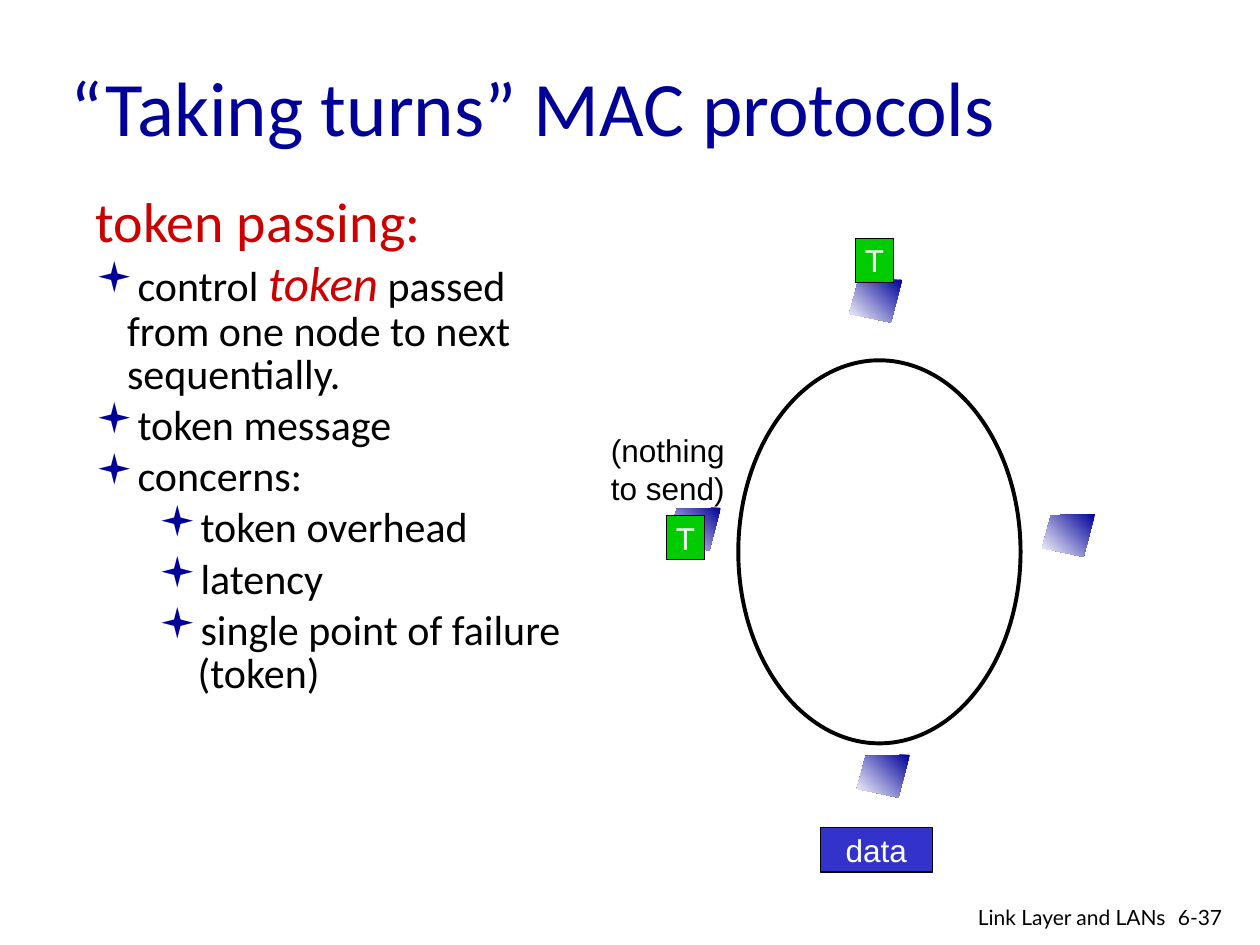
from lxml import etree
from pptx import Presentation
from pptx.dml.color import RGBColor
from pptx.enum.shapes import MSO_SHAPE
from pptx.enum.text import MSO_ANCHOR, PP_ALIGN
from pptx.oxml.ns import qn
from pptx.util import Inches, Pt

LEFT, CENTER, RIGHT = PP_ALIGN.LEFT, PP_ALIGN.CENTER, PP_ALIGN.RIGHT
TOP, MIDDLE = MSO_ANCHOR.TOP, MSO_ANCHOR.MIDDLE
OVAL, RECTANGLE = MSO_SHAPE.OVAL, MSO_SHAPE.RECTANGLE
NAVY, RED, GREEN, BLUE = "000099", "CC0000", "00CC00", "3333CC"
BLACK, WHITE = "000000", "FFFFFF"

# Content: outline rows are (level, runs); a run is (text, font overrides)
HEADING = "token passing:"
OUTLINE = [
    (0, [("control ", {}),
         ("token", {"size": Pt(28), "italic": True, "color": RED}),
         (" ", {"bold": True}),
         ("passed from one node to next sequentially.", {})]),
    (0, [("token message", {})]),
    (0, [("concerns:", {})]),
    (1, [("token overhead", {})]),
    (1, [("latency", {})]),
    (1, [("single point of failure (token)", {})]),
]
INDENTS = [(0.25, 0.25), (0.81, 0.31)]  # left margin and hang by level
# Text boxes: lines, left, top, width, height, size, font, colour, align, anchor, wrap
LABELS = [
    (["“Taking turns” MAC protocols"], 0.46, 0.21, 8.5, 1.25, 44, "Calibri", NAVY, LEFT, MIDDLE, True),
    (["(nothing", "to send)"], 4.75, 3.37, 1.1, 0.7, 18, "Arial", BLACK, LEFT, TOP, False),
    (["6-37"], 9.25, 7.13, 0.6, 0.3, 12, "Lato", BLACK, LEFT, TOP, True),
    (["Link Layer and LANs"], 6.97, 7.13, 2.38, 0.26, 12, "Lato", BLACK, RIGHT, TOP, True),
]
# Ring nodes: left and top of each; outline is relative to that corner
NODES = [(8.27, 4.08), (5.3, 4.03), (6.74, 2.22), (6.8, 5.99)]
NODE_OUTLINE = [(0.42, 0), (0.07, 0.01), (0, 0.27), (0.33, 0.34)]
# Packets: text, left, top, width, fill
PACKETS = [("T", 6.79, 1.89, 0.3, GREEN), ("data", 6.51, 6.57, 0.89, BLUE), ("T", 5.29, 4.09, 0.3, GREEN)]
PACKET_HEIGHT = 0.35


def rgb(value):
    return RGBColor.from_string(value)


def style(font, size, name, color):
    font.size, font.name = Pt(size), name
    font.color.rgb = rgb(color)


def add_bullet(paragraph, level):
    paragraph.level = level
    margin, hang = INDENTS[level]
    properties = paragraph._p.get_or_add_pPr()
    properties.set("marL", str(Inches(margin)))
    properties.set("indent", str(-Inches(hang)))
    bullet_color = etree.SubElement(properties, qn("a:buClr"))
    etree.SubElement(bullet_color, qn("a:srgbClr"), val=NAVY)
    etree.SubElement(properties, qn("a:buFont"), typeface="Wingdings")
    etree.SubElement(properties, qn("a:buChar"), char="▪")


def add_text_box(slide, left, top, width, height, wrap=True):
    box = slide.shapes.add_textbox(*map(Inches, (left, top, width, height)))
    box.text_frame.word_wrap = wrap
    return box.text_frame


def add_lines(frame, lines, size, font, color, align):
    frame.text = "\n".join(lines)
    for paragraph in frame.paragraphs:
        paragraph.alignment = align
        style(paragraph.font, size, font, color)


def add_node(slide, left, top):
    points = [(Inches(left + x), Inches(top + y)) for x, y in NODE_OUTLINE]
    builder = slide.shapes.build_freeform(*points[0])
    builder.add_line_segments(points[1:], close=True)
    node = builder.convert_to_shape()
    node.shadow.inherit = False
    node.line.fill.background()
    node.fill.gradient()
    node.fill.gradient_angle = 225
    for stop, color, position in zip(node.fill.gradient_stops, (NAVY, WHITE), (0, 1)):
        stop.color.rgb, stop.position = rgb(color), position


def add_outlined(slide, kind, left, top, width, height, line_width):
    shape = slide.shapes.add_shape(kind, *map(Inches, (left, top, width, height)))
    shape.shadow.inherit = False
    shape.line.color.rgb, shape.line.width = rgb(BLACK), Pt(line_width)
    return shape


def add_outline(slide):
    frame = add_text_box(slide, 0.66, 1.51, 4.11, 5.08)
    heading = frame.paragraphs[0]
    heading.text, heading.line_spacing = HEADING, 0.85
    style(heading.font, 32, "Calibri", RED)
    for level, runs in OUTLINE:
        paragraph = frame.add_paragraph()
        add_bullet(paragraph, level)
        paragraph.line_spacing, paragraph.space_before = 0.85, Pt(4.8)
        style(paragraph.font, 24, "Calibri", BLACK)
        for text, overrides in runs:
            run = paragraph.add_run()
            run.text = text
            for key, value in overrides.items():
                if key == "color":
                    run.font.color.rgb = rgb(value)
                else:
                    setattr(run.font, key, value)


def main():
    presentation = Presentation()
    presentation.slide_width, presentation.slide_height = Inches(10), Inches(7.5)
    slide = presentation.slides.add_slide(presentation.slide_layouts[6])

    # Nodes, outline and ring
    for left, top in NODES:
        add_node(slide, left, top)
    add_outline(slide)
    add_outlined(slide, OVAL, 5.86, 2.86, 2.24, 3.04, 2.25).fill.background()

    # Tokens and data packet
    for text, left, top, width, color in PACKETS:
        packet = add_outlined(slide, RECTANGLE, left, top, width, PACKET_HEIGHT, 0.75)
        packet.fill.solid()
        packet.fill.fore_color.rgb = rgb(color)
        packet.text_frame.word_wrap = False
        packet.text_frame.vertical_anchor = MIDDLE
        add_lines(packet.text_frame, [text], 18, "Arial", WHITE, CENTER)

    # Title, note and footer
    for lines, left, top, width, height, size, font, color, align, anchor, wrap in LABELS:
        frame = add_text_box(slide, left, top, width, height, wrap)
        frame.vertical_anchor = anchor
        add_lines(frame, lines, size, font, color, align)

    presentation.save("out.pptx")


if __name__ == "__main__":
    main()
